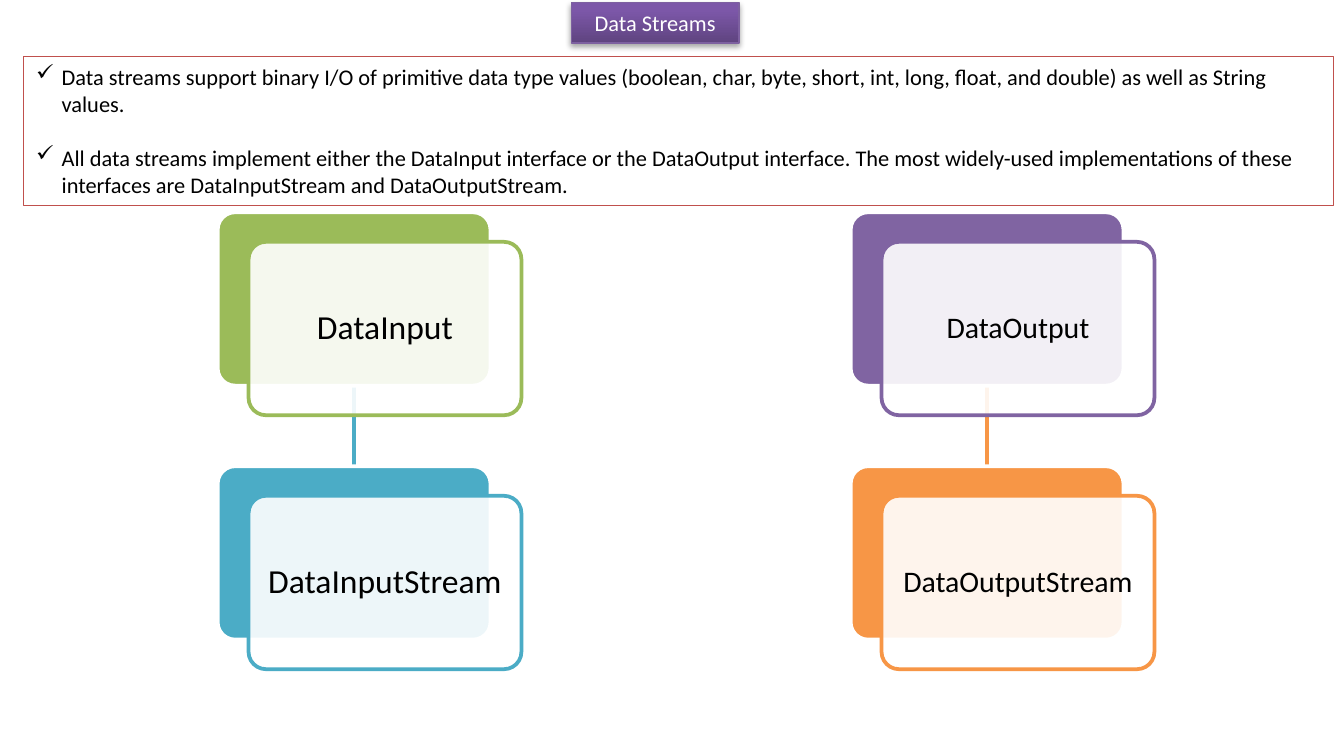
from dataclasses import dataclass

from lxml import etree
from pptx import Presentation
from pptx.dml.color import RGBColor
from pptx.enum.shapes import MSO_CONNECTOR, MSO_SHAPE
from pptx.enum.text import MSO_ANCHOR, PP_ALIGN
from pptx.oxml import parse_xml
from pptx.oxml.ns import nsdecls, qn
from pptx.util import Inches, Pt

RECTANGLE = MSO_SHAPE.RECTANGLE
ROUNDED = MSO_SHAPE.ROUNDED_RECTANGLE
STRAIGHT = MSO_CONNECTOR.STRAIGHT
CENTER, LEFT = PP_ALIGN.CENTER, PP_ALIGN.LEFT
MIDDLE, TOP = MSO_ANCHOR.MIDDLE, MSO_ANCHOR.TOP

FONT = "Calibri"
BLACK, WHITE = "000000", "FFFFFF"
GRID_LEFT, GRID_TOP = 1.62, 1.58
COLUMN_PITCH, ROW_PITCH = 4.71, 1.89
CARD_WIDTH, CARD_HEIGHT = 2.03, 1.29
OFFSET_X, OFFSET_Y = 0.23, 0.22
INDENT = 0.19


@dataclass
class Card:
    label: str
    color: str


@dataclass
class Hierarchy:
    font_size: int
    cards: list[Card]


HIERARCHIES = [
    Hierarchy(18, [Card("DataInput", "9BBB59"), Card("DataInputStream", "4BACC6")]),
    Hierarchy(16, [Card("DataOutput", "8064A2"), Card("DataOutputStream", "F79646")]),
]
POINTS = [
    "Data streams support binary I/O of primitive data type values (boolean, char, byte, "
    "short, int, long, float, and double) as well as String values.",
    "All data streams implement either the DataInput interface or the DataOutput interface. "
    "The most widely-used implementations of these interfaces are DataInputStream and "
    "DataOutputStream.",
]


def rgb(color: str) -> RGBColor:
    return RGBColor.from_string(color)


def add_box(shapes, kind, left: float, top: float, width: float, height: float,
            fill: str, line: str, line_width: float):
    shape = shapes.add_shape(kind, Inches(left), Inches(top), Inches(width), Inches(height))
    shape.shadow.inherit = False
    shape.fill.solid()
    shape.fill.fore_color.rgb = rgb(fill)
    shape.line.color.rgb = rgb(line)
    shape.line.width = Pt(line_width)
    shape.text_frame.word_wrap = True
    return shape


def add_text(paragraph, text: str, size: float, color: str, alignment) -> None:
    paragraph.alignment = alignment
    run = paragraph.add_run()
    run.text = text
    run.font.name = FONT
    run.font.size = Pt(size)
    run.font.color.rgb = rgb(color)


def add_title(slide) -> None:
    title = add_box(slide.shapes, RECTANGLE, 4.25, 0.02, 1.25, 0.3, WHITE, "7D60A0", 0.75)
    title.fill.gradient()
    title.fill.gradient_angle = 90
    stops = title.fill.gradient_stops
    for stop, position, color in zip(stops, (0, 0.8), ("5F4480", "7C57A8")):
        stop.position = position
        stop.color.rgb = rgb(color)
    effects = title._element.spPr.find(qn("a:effectLst"))
    effects.append(parse_xml(
        f'<a:outerShdw {nsdecls("a")} blurRad="{Pt(3.1)}" dist="{Pt(1.8)}" dir="5400000" '
        'rotWithShape="0"><a:srgbClr val="000000"><a:alpha val="35000"/></a:srgbClr>'
        '</a:outerShdw>'))
    title.text_frame.vertical_anchor = MIDDLE
    add_text(title.text_frame.paragraphs[0], "Data Streams", 12, WHITE, CENTER)


def add_card(shapes, card: Card, left: float, top: float, font_size: int) -> None:
    """Draw a solid back plate and a translucent, labelled front plate."""
    back = add_box(shapes, ROUNDED, left, top, CARD_WIDTH, CARD_HEIGHT, card.color, WHITE, 2)
    front = add_box(shapes, ROUNDED, left + OFFSET_X, top + OFFSET_Y,
                    CARD_WIDTH, CARD_HEIGHT, WHITE, card.color, 2)
    for plate in (back, front):
        plate.adjustments[0] = 0.1
    fill_color = front._element.spPr.find(qn("a:solidFill"))[0]
    etree.SubElement(fill_color, qn("a:alpha"), val="90000")
    frame = front.text_frame
    frame.vertical_anchor = MIDDLE
    frame.margin_left = frame.margin_right = Inches(0.07)
    frame.margin_top = frame.margin_bottom = Inches(0.07)
    paragraph = frame.paragraphs[0]
    paragraph.line_spacing = 0.9
    add_text(paragraph, card.label, font_size, BLACK, CENTER)


def add_link(shapes, x: float, top: float, bottom: float, color: str) -> None:
    link = shapes.add_connector(STRAIGHT, Inches(x), Inches(top), Inches(x), Inches(bottom))
    link.line.color.rgb = rgb(color)
    link.line.width = Pt(2)
    etree.SubElement(link._element.spPr, qn("a:effectLst"))


def add_hierarchy(slide, hierarchy: Hierarchy, column: int) -> None:
    shapes = slide.shapes.add_group_shape().shapes
    left = GRID_LEFT + column * COLUMN_PITCH
    tops = [GRID_TOP + row * ROW_PITCH for row in range(len(hierarchy.cards))]
    for parent_top, child_top, child in zip(tops, tops[1:], hierarchy.cards[1:]):
        add_link(shapes, left + CARD_WIDTH / 2, parent_top + CARD_HEIGHT, child_top, child.color)
    for card, top in zip(hierarchy.cards, tops):
        add_card(shapes, card, left, top, hierarchy.font_size)


def add_points(slide) -> None:
    box = add_box(slide.shapes, RECTANGLE, 0.17, 0.42, 9.75, 1.11, WHITE, "C0504D", 0.25)
    frame = box.text_frame
    frame.vertical_anchor = TOP
    for index, point in enumerate(POINTS):
        paragraph = frame.add_paragraph() if index else frame.paragraphs[0]
        properties = paragraph._p.get_or_add_pPr()
        properties.set("marL", str(Inches(INDENT)))
        properties.set("indent", str(-Inches(INDENT)))
        etree.SubElement(properties, qn("a:buChar"), char="✓")
        if index:
            paragraph.space_before = Pt(14.6)
        add_text(paragraph, point, 12, BLACK, LEFT)


def main() -> None:
    presentation = Presentation()
    presentation.slide_width = Inches(10)
    presentation.slide_height = Inches(5.5)
    slide = presentation.slides.add_slide(presentation.slide_layouts[6])
    add_title(slide)
    for column, hierarchy in enumerate(HIERARCHIES):
        add_hierarchy(slide, hierarchy, column)
    add_points(slide)
    presentation.save("out.pptx")


if __name__ == "__main__":
    main()
